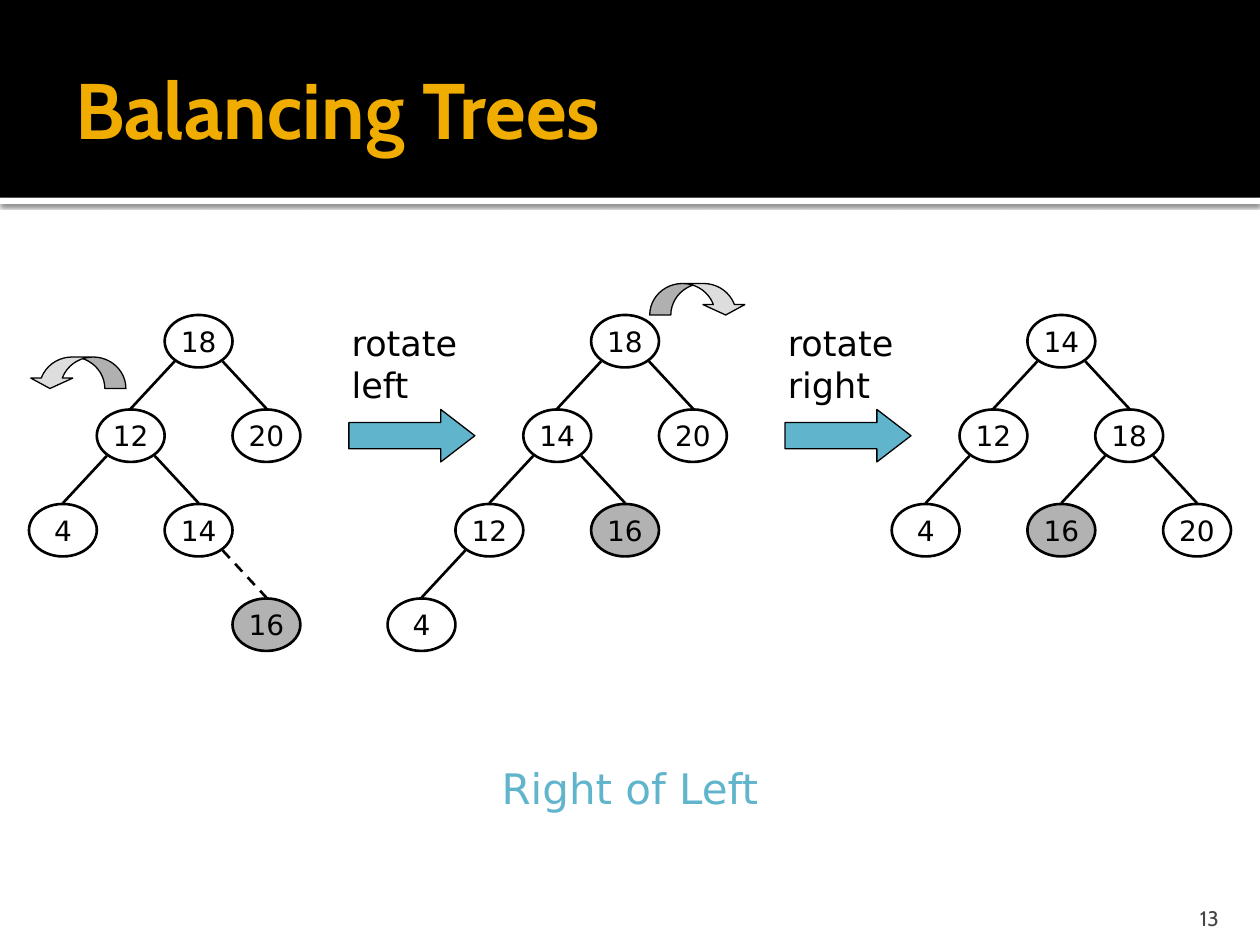
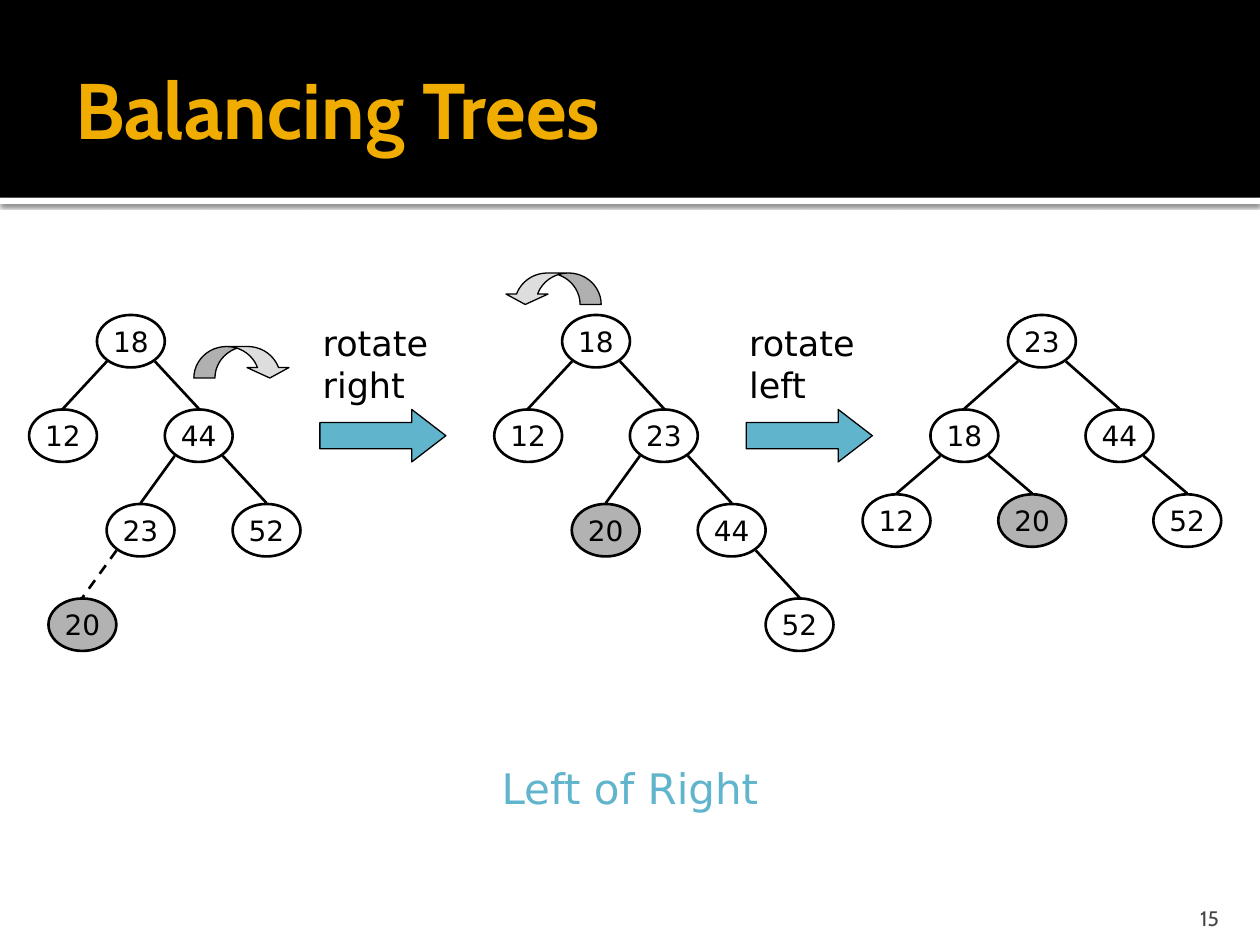
from dataclasses import dataclass

from lxml import etree
from pptx import Presentation
from pptx.dml.color import RGBColor as Color
from pptx.enum.dml import MSO_LINE as Dash
from pptx.enum.shapes import MSO_CONNECTOR as Connector, MSO_SHAPE as Shape
from pptx.enum.text import MSO_ANCHOR as Anchor, PP_ALIGN as Align
from pptx.oxml.ns import qn
from pptx.util import Pt


@dataclass(frozen=True)
class Theme:
    black: str = "000000"
    white: str = "FFFFFF"
    gold: str = "F0AD00"
    blue: str = "60B5CC"
    marked: str = "B2B2B2"
    spin: str = "DDDDDD"
    footer: str = "454545"
    heading_font: str = "Cabin"
    body_font: str = "DejaVu Sans"
    title_size: int = 45
    caption_size: int = 24
    step_size: int = 20
    node_size: int = 16
    footer_size: int = 12
    thin: float = 0.75
    thick: float = 1.5


@dataclass(frozen=True)
class Node:
    key: int
    shift: float = 0
    children: tuple = ()
    marked: bool = False
    drop: float = 54
    dashed: bool = False


THEME = Theme()
WIDTH, HEIGHT = 720, 540
NODE_WIDTH, NODE_HEIGHT = 38.77, 30
ROOT_TOP = 180
STEP = NODE_WIDTH
NARROW = 33.23
WIDE = 44.31
SHORT = 48.5
EDGE_INSET = 13.7
EDGE_START = 26.5
EDGE_GAP = 0.5


def box(left, top, width, height):
    return Pt(left), Pt(top), Pt(width), Pt(height)


def write(shape, lines, size, color=THEME.black, font=THEME.body_font,
          align=Align.LEFT, bold=False):
    frame = shape.text_frame
    frame.text = "\n".join(lines)
    for paragraph in frame.paragraphs:
        paragraph.alignment = align
        paragraph.font.name = font
        paragraph.font.size = Pt(size)
        paragraph.font.bold = bold
        paragraph.font.color.rgb = Color.from_string(color)


def add_text(slide, bounds, lines, size, anchor=Anchor.TOP, **style):
    text_box = slide.shapes.add_textbox(*box(*bounds))
    text_box.text_frame.word_wrap = True
    text_box.text_frame.vertical_anchor = anchor
    write(text_box, lines, size, **style)
    return text_box


def add_figure(slide, kind, bounds, fill=None, line_width=None):
    shape = slide.shapes.add_shape(kind, *box(*bounds))
    shape.shadow.inherit = False
    if fill:
        shape.fill.solid()
        shape.fill.fore_color.rgb = Color.from_string(fill)
    else:
        shape.fill.background()
    if line_width:
        shape.line.color.rgb = Color.from_string(THEME.black)
        shape.line.width = Pt(line_width)
    else:
        shape.line.fill.background()
    return shape


def add_drop_shadow(shape):
    effects = shape._element.spPr.find(qn("a:effectLst"))
    shadow = etree.SubElement(
        effects, qn("a:outerShdw"), blurRad=str(Pt(2.5)), dist=str(Pt(0.8)),
        dir="5400000", algn="tl", rotWithShape="0")
    color = etree.SubElement(shadow, qn("a:srgbClr"), val=THEME.black)
    etree.SubElement(color, qn("a:alpha"), val="60000")


def add_frame(slide, title, number):
    rule = add_figure(slide, Shape.RECTANGLE, (0, 113, WIDTH, 3.6), THEME.white)
    add_drop_shadow(rule)
    add_figure(slide, Shape.RECTANGLE, (0, 0, WIDTH, 113), THEME.black)
    footer = add_text(slide, (646, 510, 57.6, 21.6), [str(number)],
                      THEME.footer_size, Anchor.BOTTOM, color=THEME.footer,
                      font=THEME.heading_font, align=Align.RIGHT)
    footer.text_frame.margin_bottom = 0
    heading = add_text(slide, (36, 12.2, 648, 98.6), [title],
                       THEME.title_size, Anchor.MIDDLE, color=THEME.gold,
                       font=THEME.heading_font, bold=True)
    heading.text_frame.margin_right = Pt(3.6)


def add_edge(slide, start, end, dashed):
    edge = slide.shapes.add_connector(
        Connector.STRAIGHT, *(Pt(value) for value in (*start, *end)))
    edge.line.color.rgb = Color.from_string(THEME.black)
    edge.line.width = Pt(THEME.thick)
    if dashed:
        edge.line.dash_style = Dash.DASH
    etree.SubElement(edge._element.spPr, qn("a:effectLst"))


def add_tree(slide, node, center, top=ROOT_TOP):
    circle = add_figure(
        slide, Shape.OVAL, (center - NODE_WIDTH / 2, top, NODE_WIDTH, NODE_HEIGHT),
        THEME.marked if node.marked else None, THEME.thick)
    circle.text_frame.word_wrap = False
    circle.text_frame.vertical_anchor = Anchor.MIDDLE
    write(circle, [str(node.key)], THEME.node_size, align=Align.CENTER)
    for child in node.children:
        child_center, child_top = center + child.shift, top + child.drop
        side = EDGE_INSET if child.shift > 0 else -EDGE_INSET
        add_edge(slide, (center + side, top + EDGE_START),
                 (child_center, child_top - EDGE_GAP), child.dashed)
        add_tree(slide, child, child_center, child_top)


def add_step(slide, left, direction):
    arrow = add_figure(slide, Shape.RIGHT_ARROW, (left, 234, 72, 30),
                       THEME.blue, THEME.thin)
    arrow.adjustments[1] = 0.65
    add_text(slide, (left - 5.5, 180, 88.6, 55.4), ["rotate", direction],
             THEME.step_size)


def add_spin(slide, left, top, direction):
    spin = add_figure(slide, Shape.CURVED_DOWN_ARROW, (left, top, 55.4, 18),
                      THEME.spin, THEME.thin)
    for index, value in enumerate((0.67, 1.33, 0.33)):
        spin.adjustments[index] = value
    if direction == "left":
        spin._element.spPr.find(qn("a:xfrm")).set("flipH", "1")


def add_rotation_slide(presentation, number, caption, trees, steps, spins):
    slide = presentation.slides.add_slide(presentation.slide_layouts[6])
    add_frame(slide, "Balancing Trees", number)
    for center, root in trees:
        add_tree(slide, root, center)
    for left, direction in steps:
        add_step(slide, left, direction)
    for left, top, direction in spins:
        add_spin(slide, left, top, direction)
    add_text(slide, (0, 432, WIDTH, 36.7), [caption], THEME.caption_size,
             color=THEME.blue, align=Align.CENTER)


def right_of_left_trees():
    return (
        (113.5, Node(18, children=(
            Node(12, -STEP, (
                Node(4, -STEP),
                Node(14, STEP, (Node(16, STEP, marked=True, dashed=True),)))),
            Node(20, STEP)))),
        (357.2, Node(18, children=(
            Node(14, -STEP, (
                Node(12, -STEP, (Node(4, -STEP),)),
                Node(16, STEP, marked=True))),
            Node(20, STEP)))),
        (606.5, Node(14, children=(
            Node(12, -STEP, (Node(4, -STEP),)),
            Node(18, STEP, (
                Node(16, -STEP, marked=True),
                Node(20, STEP)))))),
    )


def left_of_right_trees():
    return (
        (74.8, Node(18, children=(
            Node(12, -STEP),
            Node(44, STEP, (
                Node(23, -NARROW, (
                    Node(20, -NARROW, marked=True, dashed=True),)),
                Node(52, STEP)))))),
        (340.6, Node(18, children=(
            Node(12, -STEP),
            Node(23, STEP, (
                Node(20, -NARROW, marked=True),
                Node(44, STEP, (Node(52, STEP),))))))),
        (595.4, Node(23, children=(
            Node(18, -WIDE, (
                Node(12, -STEP, drop=SHORT),
                Node(20, STEP, marked=True, drop=SHORT))),
            Node(44, WIDE, (Node(52, STEP, drop=SHORT),))))),
    )


def main():
    presentation = Presentation()
    presentation.slide_width, presentation.slide_height = Pt(WIDTH), Pt(HEIGHT)
    add_rotation_slide(
        presentation, 13, "Right of Left", right_of_left_trees(),
        steps=((199.4, "left"), (448.6, "right")),
        spins=((16.6, 204, "left"), (371.3, 162, "right")))
    add_rotation_slide(
        presentation, 15, "Left of Right", left_of_right_trees(),
        steps=((182.8, "right"), (426.5, "left")),
        spins=((110.8, 198, "right"), (288.2, 156, "left")))
    presentation.save("out.pptx")


if __name__ == "__main__":
    main()
